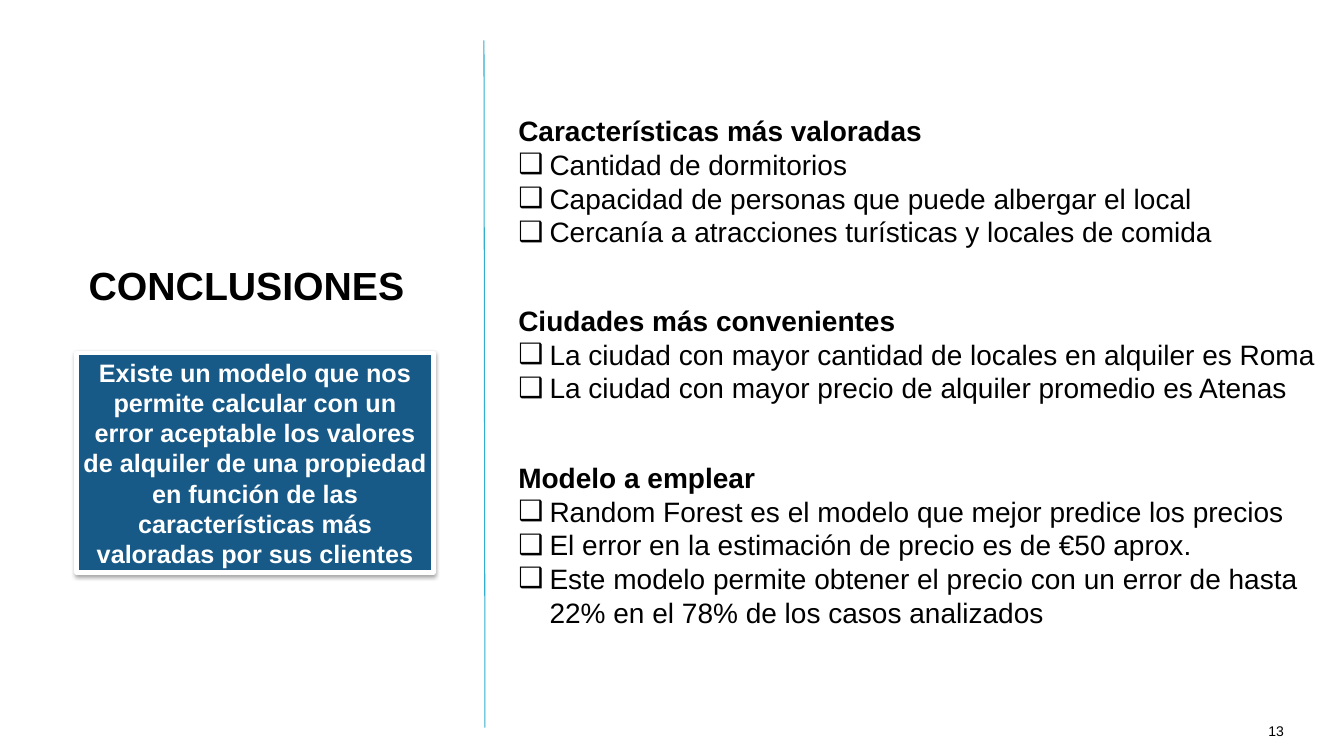
from lxml import etree
from pptx import Presentation
from pptx import util as u
from pptx.dml.color import RGBColor
from pptx.enum import shapes, text
from pptx.oxml import ns

TOPICS = [
    ((5.09, 1.08, 8.09, 1.37), "Características más valoradas", [
        "Cantidad de dormitorios",
        "Capacidad de personas que puede albergar el local",
        "Cercanía a atracciones turísticas y locales de comida"]),
    ((5.09, 2.96, 8.09, 1.05), "Ciudades más convenientes", [
        "La ciudad con mayor cantidad de locales en alquiler es Roma",
        "La ciudad con mayor precio de alquiler promedio es Atenas"]),
    ((5.09, 4.52, 8.09, 1.69), "Modelo a emplear", [
        "Random Forest es el modelo que mejor predice los precios",
        "El error en la estimación de precio es de €50 aprox.",
        "Este modelo permite obtener el precio con un error de hasta "
        "22% en el 78% de los casos analizados"]),
]
CLAIM = ("Existe un modelo que nos permite calcular con un error aceptable "
         "los valores de alquiler de una propiedad en función de las "
         "características más valoradas por sus clientes")


def color(code):
    return RGBColor.from_string(code)


def node(parent, tag, **attrs):
    return etree.SubElement(parent, ns.qn("a:" + tag), attrs)


def place(shape, box):
    shape.left, shape.top, shape.width, shape.height = map(u.Inches, box)


def setup(shape, inset, anchor=text.MSO_ANCHOR.TOP, wrap=True):
    frame = shape.text_frame
    frame.auto_size = text.MSO_AUTO_SIZE.NONE
    frame.word_wrap = wrap
    frame.vertical_anchor = anchor
    frame.margin_left = frame.margin_right = u.Inches(inset)
    frame.margin_top = frame.margin_bottom = u.Inches(inset)
    return frame


def style(para, size, bold=False, code="000000", align=text.PP_ALIGN.LEFT):
    para.alignment = align
    para.space_before = u.Pt(0)
    font = para.font
    font.name, font.size, font.bold = "Arial", u.Pt(size), bold
    font.color.rgb = color(code)


def bullet(para, char=None):
    props = para._p.get_or_add_pPr()
    indent = u.Inches(0.31) if char else 0
    props.set("marL", str(indent))
    props.set("indent", str(-indent))
    if char:
        node(node(props, "buClr"), "srgbClr", val="000000")
        node(props, "buFont", typeface="Arial")
        node(props, "buChar", char=char)
    else:
        node(props, "buNone")


def add_title(shape, box):
    place(shape, box)
    frame = setup(shape, 0)
    frame.text = "CONCLUSIONES"
    para = frame.paragraphs[0]
    style(para, 28, True)
    para.line_spacing = 0.8


def add_topic(shape, box, head, items):
    place(shape, box)
    frame = setup(shape, 0.05)
    frame.text = "\n".join([head] + items)
    for i, para in enumerate(frame.paragraphs):
        bullet(para, "❑" if i else None)
        style(para, 20, bold=i == 0)


def add_claim(slide, box):
    card = slide.shapes.add_shape(shapes.MSO_SHAPE.RECTANGLE,
                                  *map(u.Inches, box))
    card.fill.solid()
    card.fill.fore_color.rgb = color("175987")
    card.line.color.rgb = color("FFFFFF")
    card.line.width = u.Pt(3)
    # Soft shadow below the card
    shade = node(node(card._element.spPr, "effectLst"), "outerShdw",
                 blurRad=str(u.Pt(3)), dist=str(u.Pt(1.8)),
                 dir="5400000", rotWithShape="0")
    node(node(shade, "srgbClr", val="000000"), "alpha", val="35000")
    frame = setup(card, 0.05, text.MSO_ANCHOR.MIDDLE)
    frame.text = CLAIM
    style(frame.paragraphs[0], 18, True, "FFFFFF", text.PP_ALIGN.CENTER)


def add_rule(slide, start, end):
    rule = slide.shapes.add_connector(shapes.MSO_CONNECTOR.STRAIGHT,
                                      *map(u.Inches, start + end))
    rule.line.color.rgb = color("31ADCD")
    rule.line.width = u.Pt(0.75)
    node(rule._element.spPr, "effectLst")


def add_number(slide, box):
    label = slide.shapes.add_textbox(*map(u.Inches, box))
    frame = setup(label, 0, wrap=False)
    frame.text = "13"
    style(frame.paragraphs[0], 10)


def main():
    deck = Presentation()
    deck.slide_width, deck.slide_height = u.Inches(13.33), u.Inches(7.5)
    # The comparison layout holds a title and four bodies
    slide = deck.slides.add_slide(deck.slide_layouts[4])
    title, *bodies = slide.placeholders

    # Left side: title and main claim
    add_title(title, (0.88, 2.68, 3.5, 0.43))
    add_claim(slide, (0.76, 3.5, 3.54, 2.18))

    # Divider and page number
    add_rule(slide, (4.8, 0.4), (4.81, 7.22))
    add_number(slide, (12.58, 7.17, 0.17, 0.15))

    # Right side: one body for each topic
    for body, topic in zip(bodies, TOPICS):
        add_topic(body, *topic)
    for spare in bodies[len(TOPICS):]:
        spare._element.getparent().remove(spare._element)

    deck.save("out.pptx")


if __name__ == "__main__":
    main()
